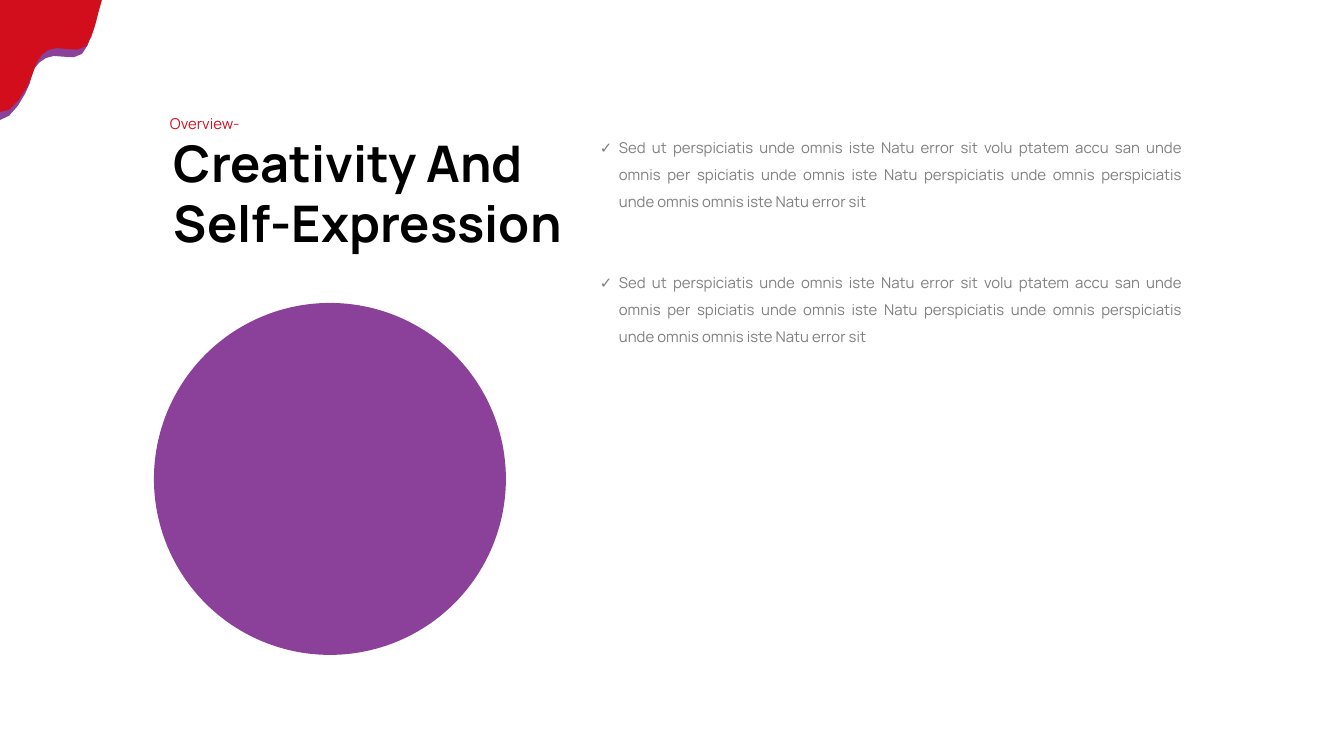
import pptx
import pptx.util
import pptx.dml.color
import pptx.enum.shapes
import pptx.enum.text
import pptx.oxml.ns
from lxml import etree

EMU_PER_PX = 914400 / 134.4
RED, PURPLE, GREY, BLACK = "D20E1C", "8B409A", "7F7F7F", "000000"
ALIGN = pptx.enum.text.PP_ALIGN

POINT_TEXT = (
    "Sed ut perspiciatis unde omnis iste Natu error sit volu ptatem accu san unde "
    "omnis per spiciatis unde omnis iste Natu perspiciatis unde omnis perspiciatis "
    "unde omnis omnis iste Natu error sit"
)


def px(length):
    return pptx.util.Emu(round(length * EMU_PER_PX))


def color(hex_string):
    return pptx.dml.color.RGBColor.from_string(hex_string)


def curve(start, control1, control2, end, steps=4):
    """Points along a cubic curve, without its start."""
    for i in range(1, steps + 1):
        t = i / steps
        weights = ((1 - t) ** 3, 3 * t * (1 - t) ** 2, 3 * t * t * (1 - t), t ** 3)
        corners = (start, control1, control2, end)
        yield tuple(sum(w * c[axis] for w, c in zip(weights, corners)) for axis in (0, 1))


def write_text(frame, text, size=8, fill=BLACK, bold=False, font="Manrope",
               align=ALIGN.LEFT, spacing=None, bullet=None, indent=19):
    paragraph = frame.paragraphs[0]
    paragraph.alignment = align
    if spacing:
        paragraph.line_spacing = spacing
    run = paragraph.add_run()
    run.text = text
    run.font.name, run.font.size, run.font.bold = font, pptx.util.Pt(size), bold
    run.font.color.rgb = color(fill)
    if bullet:
        qn = pptx.oxml.ns.qn
        properties = paragraph._p.get_or_add_pPr()
        properties.set("marL", str(px(indent)))
        properties.set("indent", str(-px(indent)))
        bullet_color = etree.SubElement(properties, qn("a:buClr"))
        etree.SubElement(bullet_color, qn("a:srgbClr"), val=fill)
        etree.SubElement(properties, qn("a:buFont"), typeface=font)
        etree.SubElement(properties, qn("a:buChar"), char=bullet)


class SlideBuilder:
    def __init__(self, slide):
        self.slide = slide

    def paint(self, shape, fill):
        shape.shadow.inherit = False
        shape.fill.solid()
        shape.fill.fore_color.rgb = color(fill)
        shape.line.fill.background()

    def circle(self, left, top, diameter, fill):
        oval = self.slide.shapes.add_shape(
            pptx.enum.shapes.MSO_SHAPE.OVAL, px(left), px(top), px(diameter), px(diameter))
        self.paint(oval, fill)

    def drip(self, group, start, curves, fill):
        """A splash on the left edge, bounded by curves running down to that edge."""
        outline = [start]
        for controls in curves:
            outline += curve(outline[-1], *controls)
        builder = group.shapes.build_freeform(0, px(start[1]), scale=1.0)
        builder.add_line_segments([(px(x), px(y)) for x, y in outline], close=True)
        self.paint(builder.convert_to_shape(), fill)

    def text(self, left, top, width, height, text, margins=(11, 5), **style):
        box = self.slide.shapes.add_textbox(px(left), px(top), px(width), px(height))
        frame = box.text_frame
        frame.word_wrap = True
        frame.auto_size = pptx.enum.text.MSO_AUTO_SIZE.SHAPE_TO_FIT_TEXT
        frame.margin_left = frame.margin_right = px(margins[0])
        frame.margin_top = frame.margin_bottom = px(margins[1])
        write_text(frame, text, **style)


def main():
    deck = pptx.Presentation()
    deck.slide_width, deck.slide_height = px(1344), px(756)
    builder = SlideBuilder(deck.slides.add_slide(deck.slide_layouts[6]))

    # Corner splash
    splash = builder.slide.shapes.add_group_shape()
    builder.drip(splash, (98, 8), [
        ((95, 19), (91, 46), (82, 54)),
        ((74, 62), (54, 52), (46, 58)),
        ((36, 63), (32, 71), (30, 83)),
        ((26, 94), (12, 120), (0, 120)),
    ], PURPLE)
    builder.drip(splash, (102, 0), [
        ((98, 11), (94, 38), (86, 46)),
        ((77, 55), (58, 44), (48, 50)),
        ((39, 55), (35, 65), (32, 76)),
        ((28, 87), (12, 116), (0, 112)),
    ], RED)

    # Heading
    builder.text(161, 125, 430, 134, "Creativity And Self-Expression",
                 margins=(13, 7), size=27, bold=True)
    builder.text(159, 101, 169, 36, "Overview-", fill=RED,
                 align=ALIGN.JUSTIFY, spacing=1.5)

    # Feature circle
    builder.circle(154, 303, 352, PURPLE)

    # Checked points
    for row in range(2):
        builder.text(589, 125 + 135 * row, 605, 90, POINT_TEXT, fill=GREY,
                     align=ALIGN.JUSTIFY, spacing=1.5, bullet="✓")

    deck.save("out.pptx")


if __name__ == "__main__":
    main()
